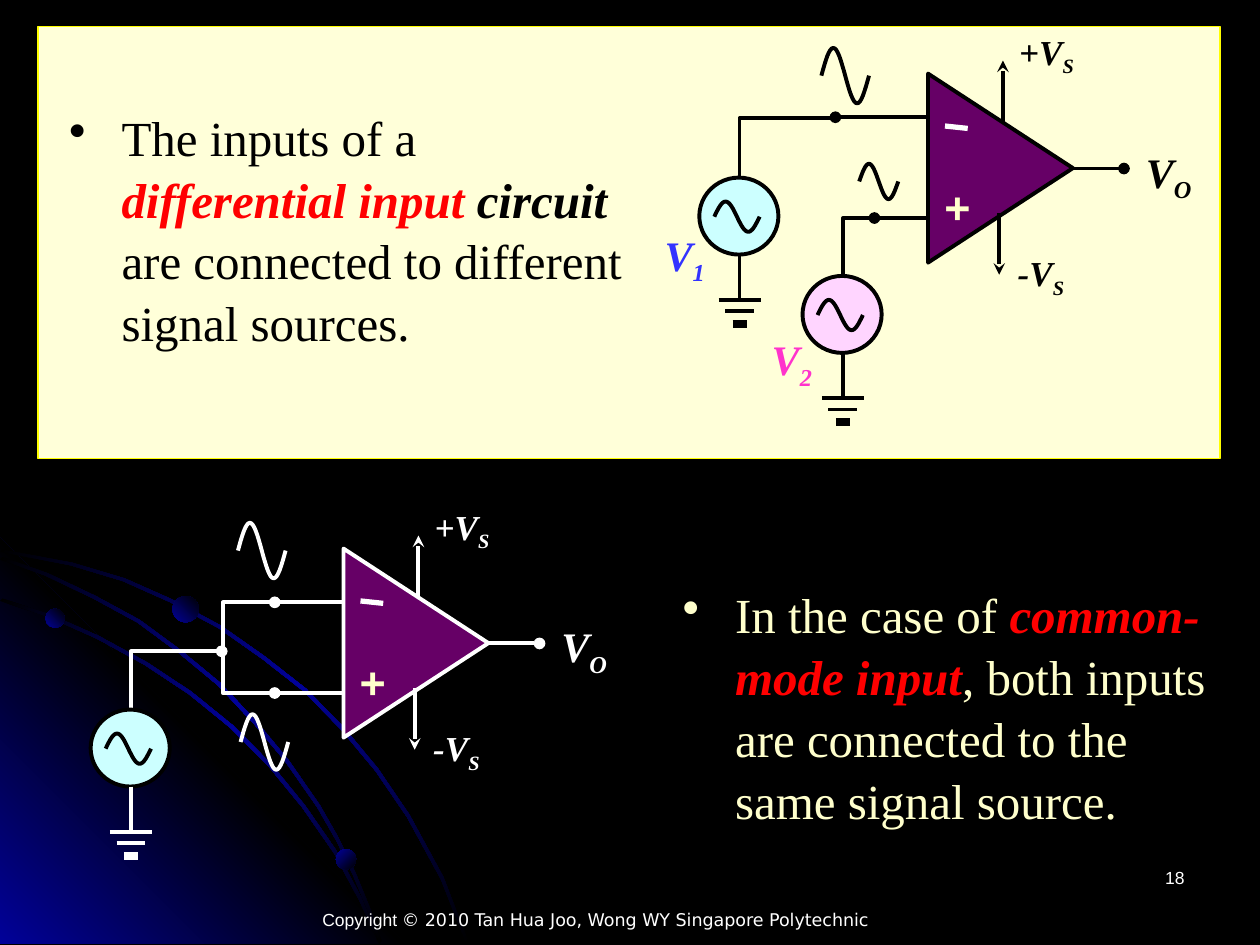
from copy import deepcopy
from math import pi, sin

from lxml.etree import SubElement
from pptx import Presentation
from pptx.dml.color import RGBColor
from pptx.enum.shapes import MSO_CONNECTOR, MSO_SHAPE
from pptx.enum.text import PP_ALIGN
from pptx.oxml.ns import qn
from pptx.util import Pt

COLOURS = {
    "black": "000000", "white": "FFFFFF", "navy": "010199", "cream": "FFFFD9",
    "yellow": "FFFF00", "pale": "FFFFCC", "red": "FF0000", "purple": "660066",
    "cyan": "CCFFFF", "pink": "FFD5FF", "blue": "3333FF", "magenta": "FF33CC",
}
ARCS = [
    [(0, 315.4), (40, 323), (70, 332), (97, 344), (125, 359), (150, 376.6), (173.5, 395),
     (195, 417), (214.6, 440.6), (232.6, 467), (252, 502.6), (259, 520.6), (266.4, 539.3)],
    [(0, 343.4), (28, 352.8), (55.4, 365), (82.8, 380), (108, 396.7), (131.8, 416),
     (153.4, 437.8), (172.8, 461.5), (190.8, 487.4), (205, 514), (216.7, 539.3)],
    [(0, 319.7), (26, 329), (53.3, 342), (78.5, 355.7), (102, 373), (124.6, 391.7), (145.4, 414),
     (163.4, 435.6), (181.4, 461.5), (192, 480), (201.6, 499.7), (210, 520), (216.7, 539.3)],
]


def rgb(name):
    return RGBColor.from_string(COLOURS[name])


def style(shape, fill=None, line=None, weight=2.25):
    shape.shadow.inherit = False
    if fill:
        shape.fill.solid()
        shape.fill.fore_color.rgb = rgb(fill)
    else:
        shape.fill.background()
    if line:
        shape.line.color.rgb = rgb(line)
        shape.line.width = Pt(weight)
    else:
        shape.line.fill.background()


def add_gradient(shape, names, angle):
    """Fill with evenly spaced stops; the angle runs counter-clockwise."""
    shape.fill.gradient()
    shape.fill.gradient_angle = angle
    if len(names) == 3:
        first = shape.fill._fill._gradFill.gsLst[0]
        first.addnext(deepcopy(first))
    for index, (stop, name) in enumerate(zip(shape.fill.gradient_stops, names)):
        stop.color.rgb = rgb(name)
        stop.position = index / (len(names) - 1)


def add_preset(page, kind, area, **look):
    shape = page.shapes.add_shape(kind, *[Pt(value) for value in area])
    style(shape, **look)
    return shape


def add_outline(page, points, close=False, **look):
    builder = page.shapes.build_freeform(Pt(points[0][0]), Pt(points[0][1]))
    builder.add_line_segments([(Pt(x), Pt(y)) for x, y in points[1:]], close=close)
    shape = builder.convert_to_shape()
    style(shape, **look)
    return shape


def add_end(shape, end, kind):
    SubElement(shape.line._get_or_add_ln(), qn(f"a:{end}End"), type=kind)


def add_line(page, start, end, colour, weight=2.25, head=None, tail=None):
    line = page.shapes.add_connector(MSO_CONNECTOR.STRAIGHT, *[Pt(v) for v in (*start, *end)])
    line.line.color.rgb = rgb(colour)
    line.line.width = Pt(weight)
    if head:
        add_end(line, "head", head)
    if tail:
        add_end(line, "tail", tail)
    SubElement(line._element.spPr, qn("a:effectLst"))


def add_text(page, area, spans, size=24, font="Times New Roman", colour="black", bold=False,
             italic=False, align=PP_ALIGN.LEFT, wrap=True, bullet=False):
    """Each span is a text and a dict of what differs from the box format."""
    frame = page.shapes.add_textbox(*[Pt(value) for value in area]).text_frame
    frame.word_wrap = wrap
    para = frame.paragraphs[0]
    para.alignment = align
    if bullet:
        properties = para._p.get_or_add_pPr()
        properties.set("marL", str(Pt(30)))
        properties.set("indent", str(-Pt(30)))
        SubElement(properties, qn("a:buChar"), char="•")
        para.line_spacing = 1.05
    for text, changes in spans:
        span = para.add_run()
        span.text = text
        span.font.size = Pt(size)
        span.font.name = changes.get("font", font)
        span.font.bold = changes.get("bold", bold)
        span.font.italic = changes.get("italic", italic)
        span.font.color.rgb = rgb(changes.get("colour", colour))
        if "baseline" in changes:
            span.font._element.set("baseline", str(changes["baseline"] * 1000))


def add_symbol(page, area, letter, subscript, colour, size=24):
    add_text(page, area, [(letter, {}), (subscript, {"baseline": -25})], size=size,
             colour=colour, bold=True, italic=True, align=PP_ALIGN.CENTER, wrap=False)


def add_wave(page, left, top, width=27.2, height=31.7, colour="black"):
    steps = 32
    add_outline(page, [(left + width * i / steps, top + height / 2 * (1 - sin(2 * pi * i / steps)))
                       for i in range(steps + 1)], line=colour)


def add_source(page, left, top, fill, wire):
    """Signal source with its ground symbol below."""
    middle = left + 23
    add_preset(page, MSO_SHAPE.OVAL, (left, top, 45.2, 44), fill=fill, line="black")
    add_wave(page, left + 8.6, top + 13.7, 25.9, 17.3)
    add_line(page, (middle, top + 44), (middle, top + 70), wire)
    for drop, half, weight in ((69.8, 12, 2.25), (76.3, 8.2, 2.25), (83.5, 4, 4.5)):
        add_line(page, (middle - half, top + drop), (middle + half, top + drop), wire, weight)


def add_amplifier(page, left, top, wire):
    triangle = add_preset(page, MSO_SHAPE.ISOSCELES_TRIANGLE,
                          (left - 12.6, top + 12.6, 108, 82.8), fill="purple", line=wire)
    triangle.rotation = 90
    add_line(page, (left + 9.7, top + 29.9), (left + 22.7, top + 31.3), "white", 3)
    add_text(page, (left + 2.5, top + 57.3, 28.8, 36), [("+", {})],
             font="DejaVu Sans Mono", colour="pale", bold=True, wrap=False)
    add_line(page, (left + 112, top + 54.2), (left + 82, top + 54.2), wire, head="oval")
    for x, start, end in ((42.8, 27.7, -7.5), (40.7, 79.6, 114.9)):
        add_line(page, (left + x, top + start), (left + x, top + end), wire, tail="stealth")
    add_symbol(page, (left + 44.3, top - 28.4, 46.8, 31), "+V", "S", wire, 20)
    add_symbol(page, (left + 43.6, top + 98.3, 41.8, 31), "-V", "S", wire, 20)
    add_symbol(page, (left + 115.6, top + 37.8, 44, 36), "V", "O", wire)


def add_backdrop(page):
    page.background.fill.solid()
    page.background.fill.fore_color.rgb = rgb("black")
    corner = add_outline(page, [(231.8, 539.3), (0, 539.3), (0, 307.4)], close=True)
    add_gradient(corner, ["navy", "black", "navy"], 45)
    for edge in ARCS:
        other_edge = [(x + 1.4, y - 1.4) for x, y in reversed(edge)]
        add_gradient(add_outline(page, edge + other_edge, close=True), ["black", "navy", "black"], 315)
    for left, top, size, angle in ((26, 347.8, 11, 45), (192, 485.3, 11.5, 315), (98.6, 340.6, 15, 45)):
        dot = add_preset(page, MSO_SHAPE.OVAL, (left, top, size, size))
        add_gradient(dot, ["navy", "black"], angle)


def add_differential_circuit(page):
    add_amplifier(page, 530.3, 42.1, "black")
    add_line(page, (477.4, 67), (530, 67), "black", head="oval")
    add_line(page, (499.7, 124.6), (531, 124.6), "black", head="oval")
    add_outline(page, [(477.4, 67.7), (422.6, 67.7), (422.6, 102)], line="black")
    add_outline(page, [(499.7, 124.6), (481.7, 124.6), (481.7, 158)], line="black")
    add_source(page, 399.6, 101.5, "cyan", "black")
    add_source(page, 458.6, 157.7, "pink", "black")
    add_wave(page, 469.4, 27.4)
    add_wave(page, 491, 93.6, 22.3, 20.2)
    add_symbol(page, (372.2, 127.4, 38.2, 36), "V", "1", "blue")
    add_symbol(page, (433.4, 187.2, 38.2, 36), "V", "2", "magenta")


def add_common_mode_circuit(page):
    add_amplifier(page, 196.3, 313.5, "white")
    for level in (344.2, 396):
        add_line(page, (157, level), (197, level), "white", head="oval")
    add_outline(page, [(157, 344.2), (127.4, 344.2), (127.4, 396), (157, 396)], line="white")
    feed = add_outline(page, [(126.7, 372.2), (74.9, 372.2), (74.9, 406)], line="white")
    add_end(feed, "head", "oval")
    add_source(page, 51.8, 405.5, "cyan", "white")
    add_wave(page, 136, 298.8, colour="white")
    add_wave(page, 137.5, 408.2, colour="white")


def main():
    deck = Presentation()
    deck.slide_width, deck.slide_height = Pt(720), Pt(540)
    page = deck.slides.add_slide(deck.slide_layouts[6])
    add_backdrop(page)
    add_text(page, (124.6, 516, 431.3, 20), [
        ("Copyright ", {}), ("© 2010 Tan Hua Joo, Wong WY Singapore Polytechnic", {"font": "DejaVu Sans"}),
    ], size=10, font="Arial", colour="white", align=PP_ALIGN.CENTER)
    add_preset(page, MSO_SHAPE.RECTANGLE, (21.6, 15.1, 675.4, 247), fill="cream", line="yellow", weight=1)
    strong = {"bold": True, "italic": True}
    add_text(page, (32.4, 56.2, 338.4, 141.8), [
        ("The inputs of a ", {}), ("differential input ", {**strong, "colour": "red"}),
        ("circuit", strong), (" are connected to different signal sources.", {}),
    ], size=28, bullet=True)
    add_text(page, (383, 329, 318.2, 141.8), [
        ("In the case of ", {}), ("common-mode input", {**strong, "colour": "red"}),
        (", both inputs are connected to the same signal source.", {}),
    ], size=28, colour="pale", bullet=True)
    add_differential_circuit(page)
    add_common_mode_circuit(page)
    add_text(page, (516.2, 491.8, 167.8, 36), [("18", {})], size=10, font="Arial",
             colour="white", align=PP_ALIGN.RIGHT)
    deck.save("out.pptx")


if __name__ == "__main__":
    main()
